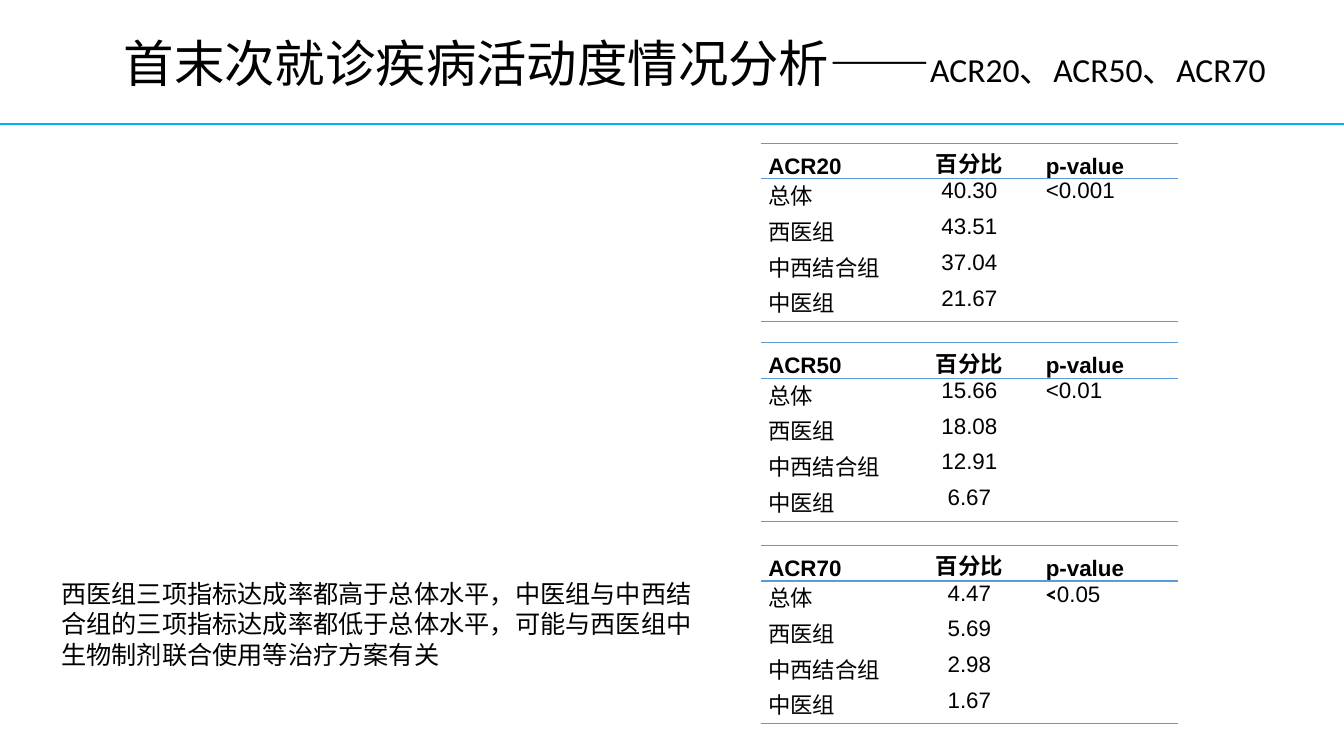
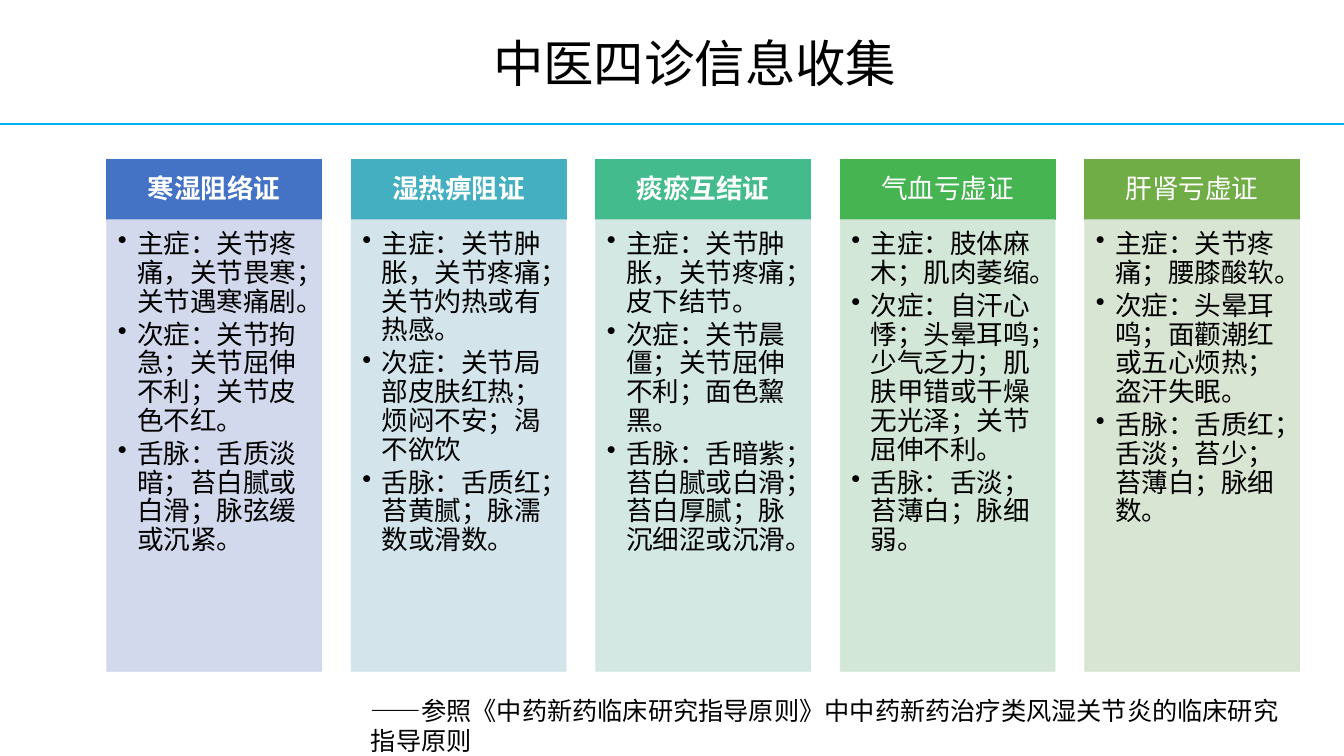
from dataclasses import dataclass

from lxml import etree
from pptx import Presentation
from pptx.dml.color import RGBColor
from pptx.enum.shapes import MSO_CONNECTOR, MSO_SHAPE
from pptx.enum.text import MSO_ANCHOR, MSO_AUTO_SIZE, PP_ALIGN
from pptx.oxml.ns import qn
from pptx.util import Inches, Pt

RECTANGLE = MSO_SHAPE.RECTANGLE
STRAIGHT = MSO_CONNECTOR.STRAIGHT
TOP, MIDDLE, BOTTOM = MSO_ANCHOR.TOP, MSO_ANCHOR.MIDDLE, MSO_ANCHOR.BOTTOM
LEFT, CENTER = PP_ALIGN.LEFT, PP_ALIGN.CENTER
NO_FIT, GROW = MSO_AUTO_SIZE.NONE, MSO_AUTO_SIZE.SHAPE_TO_FIT_TEXT
TITLE_ONLY = 5
PLAIN_TABLE_STYLE = "{2D5ABB26-0587-4C30-8999-92F81FD0307C}"


@dataclass(frozen=True)
class Theme:
    black: str = "000000"
    white: str = "FFFFFF"
    rule: str = "00B0F0"
    table_line: str = "5B9BD5"
    title_font: str = "Noto Sans CJK SC"
    body_font: str = "Calibri"
    table_font: str = "Arial"
    title_size: int = 36
    subtitle_size: int = 24
    card_size: int = 19
    body_size: int = 18
    table_size: int = 16


THEME = Theme()


@dataclass(frozen=True)
class Span:
    text: str
    size: int
    font: str
    bold: bool = False
    color: str = THEME.black


@dataclass(frozen=True)
class ResponseTable:
    top: float
    name: str
    percentages: tuple[str, ...]
    p_value: tuple[Span, ...]


@dataclass(frozen=True)
class SyndromeCard:
    name: str
    header_color: str
    body_color: str
    symptoms: tuple[str, ...]
    bold: bool = False


def table_span(text: str, bold: bool = False) -> Span:
    return Span(text, THEME.table_size, THEME.table_font, bold)


GROUPS = ("总体", "西医组", "中西结合组", "中医组")

RESPONSE_TABLES = (
    ResponseTable(1.42, "ACR20", ("40.30", "43.51", "37.04", "21.67"), (table_span("<0.001"),)),
    ResponseTable(3.4, "ACR50", ("15.66", "18.08", "12.91", "6.67"), (table_span("<0.01"),)),
    ResponseTable(
        5.41,
        "ACR70",
        ("4.47", "5.69", "2.98", "1.67"),
        (Span("<", THEME.table_size, THEME.body_font, True), table_span("0.05")),
    ),
)

SYNDROME_CARDS = (
    SyndromeCard("寒湿阻络证", "4472C4", "CFD5EA", (
        "主症：关节疼痛，关节畏寒；关节遇寒痛剧。",
        "次症：关节拘急；关节屈伸不利；关节皮色不红。",
        "舌脉：舌质淡暗；苔白腻或白滑；脉弦缓或沉紧。",
    ), True),
    SyndromeCard("湿热痹阻证", "43AFC0", "CFE2E8", (
        "主症：关节肿胀，关节疼痛；关节灼热或有热感。",
        "次症：关节局部皮肤红热；烦闷不安；渴不欲饮",
        "舌脉：舌质红；苔黄腻；脉濡数或滑数。",
    ), True),
    SyndromeCard("痰瘀互结证", "43BB8D", "CFE6E0", (
        "主症：关节肿胀，关节疼痛；皮下结节。",
        "次症：关节晨僵；关节屈伸不利；面色黧黑。",
        "舌脉：舌暗紫；苔白腻或白滑；苔白厚腻；脉沉细涩或沉滑。",
    ), True),
    SyndromeCard("气血亏虚证", "45B451", "CFE5D4", (
        "主症：肢体麻木；肌肉萎缩。",
        "次症：自汗心悸；头晕耳鸣；少气乏力；肌肤甲错或干燥无光泽；关节屈伸不利。",
        "舌脉：舌淡；苔薄白；脉细弱。",
    )),
    SyndromeCard("肝肾亏虚证", "70AD47", "D5E3CF", (
        "主症：关节疼痛；腰膝酸软。",
        "次症：头晕耳鸣；面颧潮红或五心烦热；盗汗失眠。",
        "舌脉：舌质红；舌淡；苔少；苔薄白；脉细数。",
    )),
)


def style_font(font, span: Span) -> None:
    font.name = span.font
    font.size = Pt(span.size)
    font.bold = span.bold
    font.color.rgb = RGBColor.from_string(span.color)


def write_para(para, spans: tuple[Span, ...], align=LEFT) -> None:
    para.alignment = align
    for span in spans:
        run = para.add_run()
        run.text = span.text
        if len(spans) > 1:
            style_font(run.font, span)
    if len(spans) == 1:
        style_font(para.font, spans[0])


def set_insets(frame, left: float, top: float, right: float, bottom: float) -> None:
    frame.margin_left, frame.margin_top = Inches(left), Inches(top)
    frame.margin_right, frame.margin_bottom = Inches(right), Inches(bottom)


def add_titled_slide(deck, title_spans: tuple[Span, ...]):
    slide = deck.slides.add_slide(deck.slide_layouts[TITLE_ONLY])
    rule = slide.shapes.add_connector(STRAIGHT, 0, Inches(1.23), deck.slide_width, Inches(1.23))
    rule.line.color.rgb = RGBColor.from_string(THEME.rule)
    rule.line.width = Pt(2)
    etree.SubElement(rule._element.spPr, qn("a:effectLst"))
    title = slide.shapes.title
    title.left, title.top = Inches(0.89), Inches(0)
    title.width, title.height = Inches(12), Inches(1.23)
    frame = title.text_frame
    frame.auto_size = NO_FIT
    frame.word_wrap = True
    frame.vertical_anchor = MIDDLE
    write_para(frame.paragraphs[0], title_spans, CENTER)
    return slide


def add_note(slide, left: float, top: float, width: float, height: float, text: str) -> None:
    box = slide.shapes.add_textbox(Inches(left), Inches(top), Inches(width), Inches(height))
    frame = box.text_frame
    frame.word_wrap = True
    frame.auto_size = GROW
    write_para(frame.paragraphs[0], (Span(text, THEME.body_size, THEME.body_font),))


def add_border(cell, side: str) -> None:
    edge = etree.SubElement(cell._tc.get_or_add_tcPr(), qn(f"a:{side}"), w=str(Pt(1)))
    fill = etree.SubElement(edge, qn("a:solidFill"))
    etree.SubElement(fill, qn("a:srgbClr"), val=THEME.table_line)


def add_response_table(slide, response: ResponseTable) -> None:
    header = tuple((table_span(text, True),) for text in (response.name, "百分比", "p-value"))
    rows = [header]
    for index, (group, percentage) in enumerate(zip(GROUPS, response.percentages)):
        p_value = response.p_value if index == 0 else (table_span(""),)
        rows.append(((table_span(group),), (table_span(percentage),), p_value))
    last = len(rows) - 1
    table = slide.shapes.add_table(
        len(rows), len(header), Inches(7.55), Inches(response.top), Inches(4.13), Inches(1.77)
    ).table
    table.first_row = table.horz_banding = False
    table._tbl.tblPr.find(qn("a:tableStyleId")).text = PLAIN_TABLE_STYLE
    for row_index, row in enumerate(rows):
        for column_index, spans in enumerate(row):
            cell = table.cell(row_index, column_index)
            set_insets(cell, 0.07, 0, 0.07, 0)
            cell.vertical_anchor = BOTTOM if row_index == 0 else TOP
            para = cell.text_frame.paragraphs[0]
            para.space_before = para.space_after = Pt(1.8)
            write_para(para, spans, CENTER if column_index == 1 else LEFT)
            if row_index == 0:
                add_border(cell, "lnT")
            if row_index in (0, last):
                add_border(cell, "lnB")
            cell.fill.background()


def add_panel(slide, left: float, top: float, width: float, height: float, color: str):
    panel = slide.shapes.add_shape(
        RECTANGLE, Inches(left), Inches(top), Inches(width), Inches(height)
    )
    panel.shadow.inherit = False
    panel.fill.solid()
    panel.fill.fore_color.rgb = RGBColor.from_string(color)
    panel.line.color.rgb = RGBColor.from_string(color)
    panel.line.width = Pt(0.5)
    panel.text_frame.word_wrap = True
    return panel


def add_bullet(para) -> None:
    properties = para._p.get_or_add_pPr()
    properties.set("marL", str(Inches(0.19)))
    properties.set("indent", str(-Inches(0.19)))
    etree.SubElement(properties, qn("a:buChar"), char="•")


def add_syndrome_card(slide, card: SyndromeCard, left: float, width: float) -> None:
    header = add_panel(slide, left, 1.58, width, 0.6, card.header_color)
    frame = header.text_frame
    set_insets(frame, 0.15, 0.08, 0.15, 0.08)
    frame.vertical_anchor = MIDDLE
    para = frame.paragraphs[0]
    para.line_spacing = 0.9
    name = Span(card.name, THEME.card_size, THEME.body_font, card.bold, THEME.white)
    write_para(para, (name,), CENTER)

    body = add_panel(slide, left, 2.18, width, 4.48, card.body_color)
    for color in body._element.spPr.iter(qn("a:srgbClr")):
        etree.SubElement(color, qn("a:alpha"), val="90000")
    frame = body.text_frame
    set_insets(frame, 0.11, 0.11, 0.15, 0.17)
    frame.vertical_anchor = TOP
    for index, symptom in enumerate(card.symptoms):
        para = frame.add_paragraph() if index else frame.paragraphs[0]
        add_bullet(para)
        para.line_spacing = 0.9
        para.space_after = Pt(3)
        write_para(para, (Span(symptom, THEME.card_size, THEME.body_font),))


def build_response_slide(deck) -> None:
    slide = add_titled_slide(deck, (
        Span("首末次就诊疾病活动度情况分析——", THEME.title_size, THEME.title_font),
        Span("ACR20、ACR50、ACR70", THEME.subtitle_size, THEME.body_font),
    ))
    for response in RESPONSE_TABLES:
        add_response_table(slide, response)
    add_note(
        slide, 0.51, 5.69, 6.67, 1.01,
        "西医组三项指标达成率都高于总体水平，中医组与中西结合组的三项指标达成率都低于总体水平，"
        "可能与西医组中生物制剂联合使用等治疗方案有关",
    )


def build_syndrome_slide(deck) -> None:
    slide = add_titled_slide(
        deck, (Span("中医四诊信息收集", THEME.title_size, THEME.title_font),)
    )
    first_left, last_left, width = 1.06, 10.76, 2.13
    pitch = (last_left - first_left) / (len(SYNDROME_CARDS) - 1)
    for index, card in enumerate(SYNDROME_CARDS):
        add_syndrome_card(slide, card, first_left + index * pitch, width)
    add_note(
        slide, 3.58, 6.85, 9.31, 0.71,
        "——参照《中药新药临床研究指导原则》中中药新药治疗类风湿关节炎的临床研究指导原则",
    )


def main() -> None:
    deck = Presentation()
    deck.slide_width, deck.slide_height = Inches(13.33), Inches(7.5)
    build_response_slide(deck)
    build_syndrome_slide(deck)
    deck.save("out.pptx")


if __name__ == "__main__":
    main()
